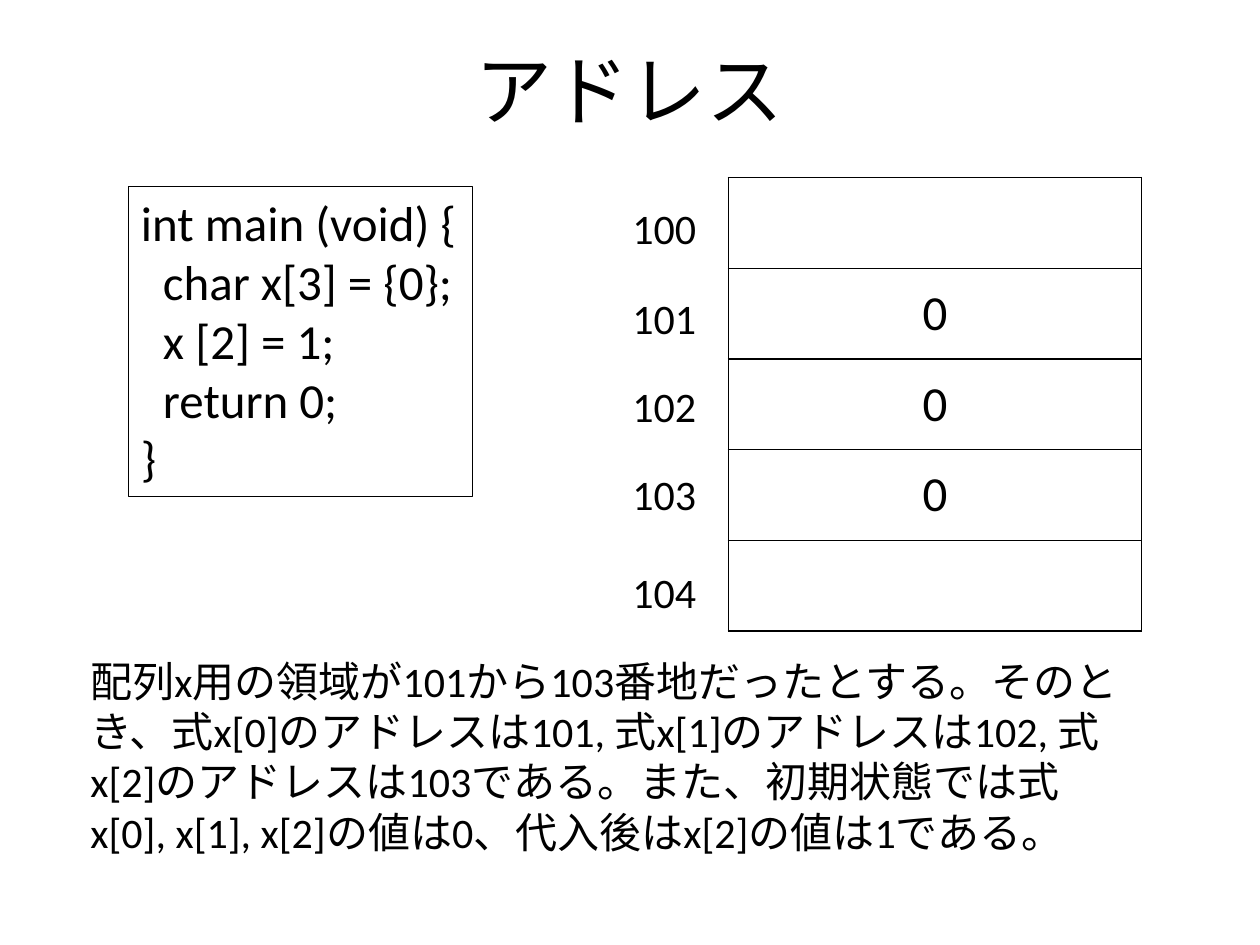
from dataclasses import dataclass

from lxml import etree
from pptx import Presentation
from pptx.dml.color import RGBColor
from pptx.enum import text as t
from pptx.oxml.ns import qn
from pptx.util import Inches, Pt


@dataclass
class Theme:
    font: str = "Calibri"
    ink: str = "000000"
    title: int = 44
    code: int = 28
    body: int = 24
    frame: float = 0.75
    grid: float = 1


theme = Theme()
ink = RGBColor.from_string(theme.ink)


def style(frame, size, align=t.PP_ALIGN.LEFT):
    for para in frame.paragraphs:
        para.alignment = align
        for run in para.runs:
            run.font.name = theme.font
            run.font.size = Pt(size)
            run.font.color.rgb = ink


def add_text(words, left, top, width, height, size, wrap=False):
    box = slide.shapes.add_textbox(
        Inches(left), Inches(top), Inches(width), Inches(height))
    frame = box.text_frame
    frame.text = words
    frame.word_wrap = wrap
    frame.auto_size = t.MSO_AUTO_SIZE.SHAPE_TO_FIT_TEXT
    style(frame, size)
    return box


deck = Presentation()
deck.slide_width, deck.slide_height = Inches(10), Inches(7.5)
slide = deck.slides.add_slide(deck.slide_layouts[5])

# Title
title = slide.shapes.title
title.left, title.top = Inches(0.5), Inches(0.08)
title.width, title.height = Inches(9), Inches(1.25)
title.text_frame.text = "アドレス"
title.text_frame.vertical_anchor = t.MSO_ANCHOR.MIDDLE
style(title.text_frame, theme.title, t.PP_ALIGN.CENTER)

# Framed program
lines = [
    "int main (void) {",
    "  char x[3] = {0};",
    "  x [2] = 1;",
    "  return 0;",
    "}",
]
code = add_text("\n".join(lines), 1.02, 1.48, 2.73, 2.46, theme.code)
code.line.color.rgb = ink
code.line.width = Pt(theme.frame)

# Explanation
add_text(
    "配列x用の領域が101から103番地だったとする。"
    "そのとき、式x[0]のアドレスは101, 式x[1]のアドレスは102, "
    "式x[2]のアドレスは103である。"
    "また、初期状態では式x[0], x[1], x[2]の値は0、"
    "代入後はx[2]の値は1である。",
    0.62, 5.15, 8.44, 1.72, theme.body, wrap=True)

# Memory cells
values = ["", "0", "0", "0", ""]
table = slide.shapes.add_table(
    len(values), 1, Inches(5.78), Inches(1.41), Inches(3.28), Inches(3.6)).table
table.first_row = table.horz_banding = False
for row, value in enumerate(values):
    table.rows[row].height = Inches(0.72)
    cell = table.cell(row, 0)
    cell.text = value
    cell.vertical_anchor = t.MSO_ANCHOR.MIDDLE
    cell.fill.background()
    style(cell.text_frame, theme.code, t.PP_ALIGN.CENTER)
    props = cell._tc.get_or_add_tcPr()
    for spot, side in enumerate(("lnL", "lnR", "lnT", "lnB")):
        edge = etree.Element(qn("a:" + side), w=str(Pt(theme.grid)))
        fill = etree.SubElement(edge, qn("a:solidFill"))
        etree.SubElement(fill, qn("a:srgbClr"), val=theme.ink)
        props.insert(spot, edge)

# Addresses beside the cells
tops = [1.56, 2.27, 2.97, 3.67, 4.45]
for place, top in enumerate(tops):
    add_text(str(100 + place), 4.92, top, 0.71, 0.5, theme.body)

deck.save("out.pptx")
